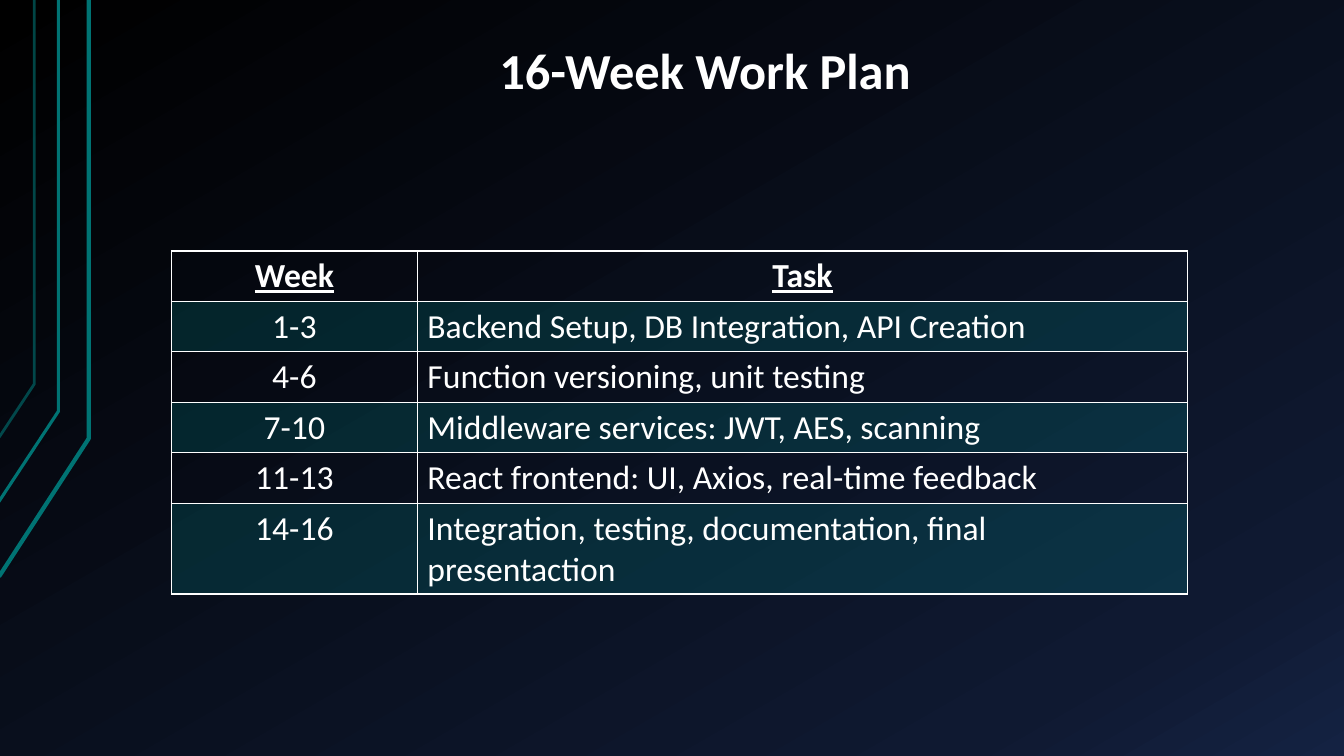
"""Build the 16-week work plan slide."""
from dataclasses import dataclass

from lxml.etree import SubElement
from pptx import Presentation
from pptx.dml.color import RGBColor
from pptx.enum.text import MSO_VERTICAL_ANCHOR as Anchor, PP_PARAGRAPH_ALIGNMENT as Align
from pptx.oxml.ns import qn
from pptx.util import Pt

EMU_PER_PX = 9144


def px(length):
    return length * EMU_PER_PX


@dataclass(frozen=True)
class Theme:
    font: str = "Calibri"
    title_size: int = 36
    table_size: int = 24
    text: str = "FFFFFF"
    border: str = "FFFFFF"
    border_width: int = 1
    accent: str = "007373"
    band: str = "009999"
    band_opacity: int = 20
    backdrop: tuple = ((0, "000000"), (85, "0F1931"), (100, "142242"))
    backdrop_angle: int = 300


class SlideBuilder:
    def __init__(self, slide, theme):
        self.slide = slide
        self.theme = theme

    def set_opacity(self, element, percent):
        for color in element.iter(qn("a:srgbClr")):
            SubElement(color, qn("a:alpha"), val=str(percent * 1000))

    def add_backdrop(self):
        fill = self.slide.background.fill
        fill.gradient()
        fill.gradient_angle = self.theme.backdrop_angle
        stops = next(self.slide.element.iter(qn("a:gsLst")))
        for stop in list(stops):
            stops.remove(stop)
        for position, color in self.theme.backdrop:
            stop = SubElement(stops, qn("a:gs"), pos=str(position * 1000))
            SubElement(stop, qn("a:srgbClr"), val=color)

    def add_trace(self, points, width, opacity):
        start, *rest = points
        builder = self.slide.shapes.build_freeform(*start, scale=EMU_PER_PX)
        builder.add_line_segments(rest, close=False)
        shape = builder.convert_to_shape()
        shape.shadow.inherit = False
        shape.fill.background()
        shape.line.color.rgb = RGBColor.from_string(self.theme.accent)
        shape.line.width = Pt(width)
        self.set_opacity(shape.element, opacity)

    def set_text(self, text_frame, text, size, align, bold=False, underline=False):
        text_frame.text = text
        paragraph = text_frame.paragraphs[0]
        paragraph.alignment = align
        font = paragraph.runs[0].font
        font.name = self.theme.font
        font.size = Pt(size)
        font.bold = bold
        font.underline = underline
        font.color.rgb = RGBColor.from_string(self.theme.text)
        return paragraph

    def add_title(self, text, left, top, width, height):
        box = self.slide.shapes.add_textbox(px(left), px(top), px(width), px(height))
        text_frame = box.text_frame
        text_frame.word_wrap = True
        text_frame.vertical_anchor = Anchor.BOTTOM
        text_frame.margin_left = text_frame.margin_right = px(13)
        text_frame.margin_top = text_frame.margin_bottom = px(7)
        paragraph = self.set_text(text_frame, text, self.theme.title_size, Align.CENTER, bold=True)
        paragraph.line_spacing = 0.9

    def style_cell(self, cell, banded):
        properties = cell._tc.get_or_add_tcPr()
        for side in ("a:lnL", "a:lnR", "a:lnT", "a:lnB"):
            line = SubElement(properties, qn(side), w=str(Pt(self.theme.border_width)))
            SubElement(SubElement(line, qn("a:solidFill")), qn("a:srgbClr"), val=self.theme.border)
        if banded:
            cell.fill.solid()
            cell.fill.fore_color.rgb = RGBColor.from_string(self.theme.band)
            self.set_opacity(properties.find(qn("a:solidFill")), self.theme.band_opacity)
        else:
            cell.fill.background()

    def add_table(self, rows, left, top, column_widths, row_heights):
        frame = self.slide.shapes.add_table(
            len(rows), len(column_widths), px(left), px(top),
            px(sum(column_widths)), px(sum(row_heights)))
        table = frame.table
        table.horz_banding = False
        for column, width in zip(table.columns, column_widths):
            column.width = px(width)
        for row, height in zip(table.rows, row_heights):
            row.height = px(height)
        for row_index, texts in enumerate(rows):
            header = row_index == 0
            for column_index, text in enumerate(texts):
                cell = table.cell(row_index, column_index)
                align = Align.CENTER if header or column_index == 0 else Align.LEFT
                self.set_text(cell.text_frame, text, self.theme.table_size, align, header, header)
                self.style_cell(cell, banded=row_index % 2 == 1)


WORK_PLAN = (
    ("Week", "Task"),
    ("1-3", "Backend Setup, DB Integration, API Creation"),
    ("4-6", "Function versioning, unit testing"),
    ("7-10", "Middleware services: JWT, AES, scanning"),
    ("11-13", "React frontend: UI, Axios, real-time feedback"),
    ("14-16", "Integration, testing, documentation, final presentaction"),
)
TRACES = (
    (((-1, 572), (88, 435), (88, 0)), 3, 100),
    (((-2, 499), (58, 408), (58, 0)), 2.25, 100),
    (((-1, 434), (34, 381), (34, 0)), 2, 60),
)


def main():
    presentation = Presentation()
    presentation.slide_width = px(1333)
    presentation.slide_height = px(750)
    slide = presentation.slides.add_slide(presentation.slide_layouts[6])
    builder = SlideBuilder(slide, Theme())
    builder.add_backdrop()
    for points, width, opacity in TRACES:
        builder.add_trace(points, width, opacity)
    builder.add_title("16-Week Work Plan", 133, 30, 1133, 77)
    builder.add_table(WORK_PLAN, 170, 249, (244, 764), (50,) * 5 + (90,))
    presentation.save("out.pptx")


if __name__ == "__main__":
    main()
